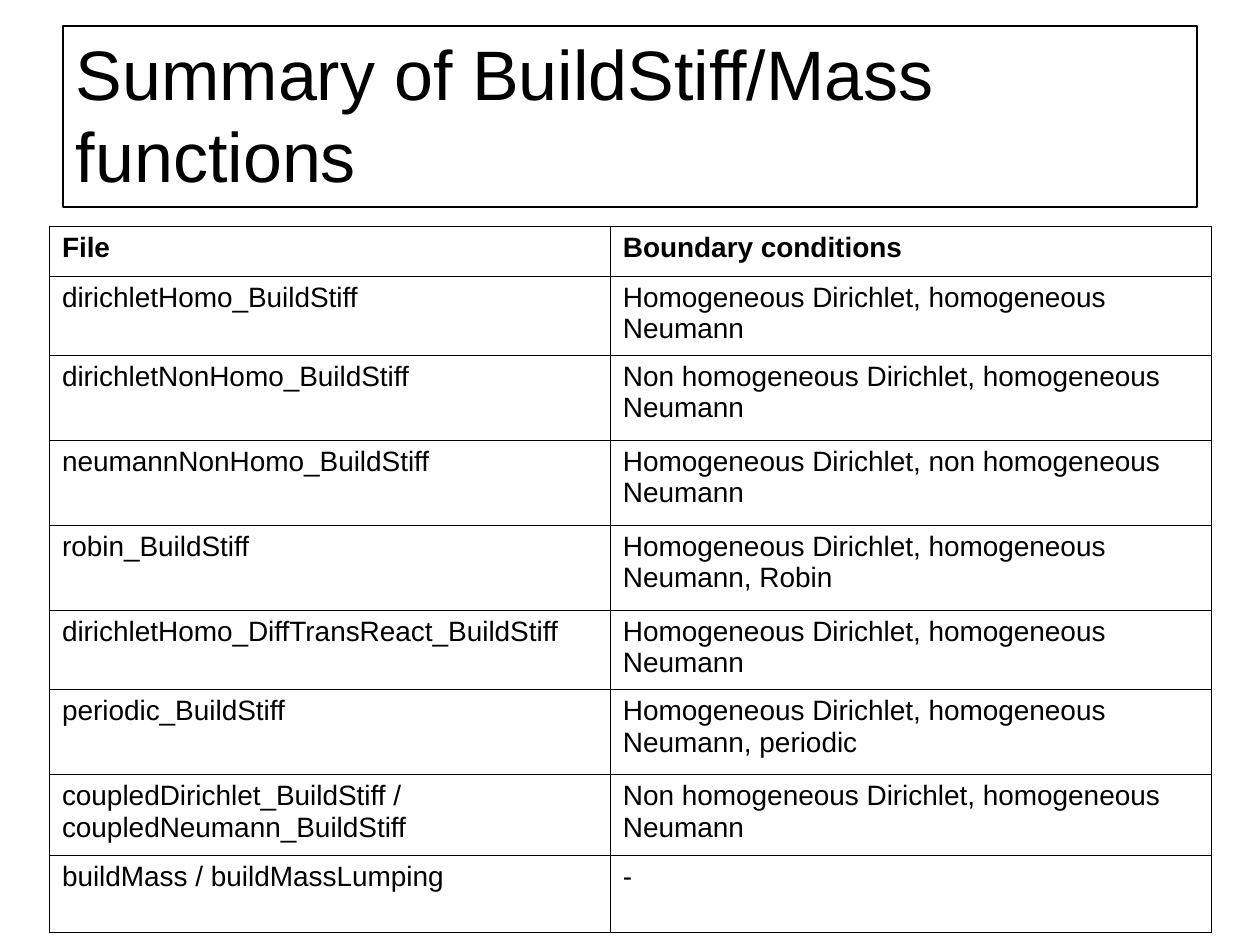
from lxml import etree
from pptx import Presentation
from pptx.dml.color import RGBColor
from pptx.enum.text import MSO_ANCHOR, MSO_AUTO_SIZE, PP_ALIGN
from pptx.oxml.ns import qn
from pptx.util import Pt

PX = 914400 // 126
TITLE_ONLY = 5
MIDDLE = MSO_ANCHOR.MIDDLE
NO_FIT = MSO_AUTO_SIZE.NONE
LEFT = PP_ALIGN.LEFT
BLACK = "000000"
BORDER_WIDTH = Pt(0.45)
MARGINS = {"margin_left": 13 * PX, "margin_right": 13 * PX,
           "margin_top": 6 * PX, "margin_bottom": 6 * PX}
COLUMN_WIDTHS = [561, 601]
ROW_HEIGHTS = [50, 79, 85, 85, 85, 80, 85, 81, 77]
ROWS = [
    ("File", "Boundary conditions"),
    ("dirichletHomo_BuildStiff", "Homogeneous Dirichlet, homogeneous Neumann"),
    ("dirichletNonHomo_BuildStiff", "Non homogeneous Dirichlet, homogeneous Neumann"),
    ("neumannNonHomo_BuildStiff", "Homogeneous Dirichlet, non homogeneous Neumann"),
    ("robin_BuildStiff", "Homogeneous Dirichlet, homogeneous Neumann, Robin"),
    ("dirichletHomo_DiffTransReact_BuildStiff", "Homogeneous Dirichlet, homogeneous Neumann"),
    ("periodic_BuildStiff", "Homogeneous Dirichlet, homogeneous Neumann, periodic"),
    ("coupledDirichlet_BuildStiff / \vcoupledNeumann_BuildStiff",
     "Non homogeneous Dirichlet, homogeneous Neumann"),
    ("buildMass / buildMassLumping", "-"),
]


def color(value):
    return RGBColor.from_string(value)


def apply(target, values):
    for name, value in values.items():
        setattr(target, name, value)


def write(para, text, size, bold=False):
    para.text = text
    para.alignment = LEFT
    for span in para.runs:
        apply(span.font, {"name": "Arial", "size": Pt(size), "bold": bold})
        span.font.color.rgb = color(BLACK)


def format_title(box, text):
    apply(box, {"left": 63 * PX, "top": 26 * PX, "width": 1134 * PX, "height": 181 * PX})
    box.line.color.rgb = color(BLACK)
    box.line.width = Pt(0.75)
    frame = box.text_frame
    apply(frame, {**MARGINS, "vertical_anchor": MIDDLE, "word_wrap": True, "auto_size": NO_FIT})
    para = frame.paragraphs[0]
    write(para, text, 40)
    para.line_spacing = 0.98


def add_borders(cell):
    properties = cell._tc.get_or_add_tcPr()
    for side in ("a:lnL", "a:lnR", "a:lnT", "a:lnB"):
        line = etree.SubElement(properties, qn(side), w=str(BORDER_WIDTH))
        fill = etree.SubElement(line, qn("a:solidFill"))
        etree.SubElement(fill, qn("a:srgbClr"), val=BLACK)


def add_summary_table(slide):
    frame = slide.shapes.add_table(
        len(ROWS), len(COLUMN_WIDTHS), 49 * PX, 226 * PX,
        sum(COLUMN_WIDTHS) * PX, sum(ROW_HEIGHTS) * PX)
    table = frame.table
    apply(table, {"first_row": False, "horz_banding": False})
    for column, width in zip(table.columns, COLUMN_WIDTHS):
        column.width = width * PX
    for index, (row, height, texts) in enumerate(zip(table.rows, ROW_HEIGHTS, ROWS)):
        row.height = height * PX
        for cell, text in zip(row.cells, texts):
            apply(cell, MARGINS)
            add_borders(cell)
            cell.fill.background()
            write(cell.text_frame.paragraphs[0], text, 16, bold=index == 0)


def main():
    deck = Presentation()
    apply(deck, {"slide_width": 1260 * PX, "slide_height": 945 * PX})
    page = deck.slides.add_slide(deck.slide_layouts[TITLE_ONLY])
    format_title(page.shapes.title, "Summary of BuildStiff/Mass functions")
    add_summary_table(page)
    deck.save("out.pptx")


if __name__ == "__main__":
    main()
